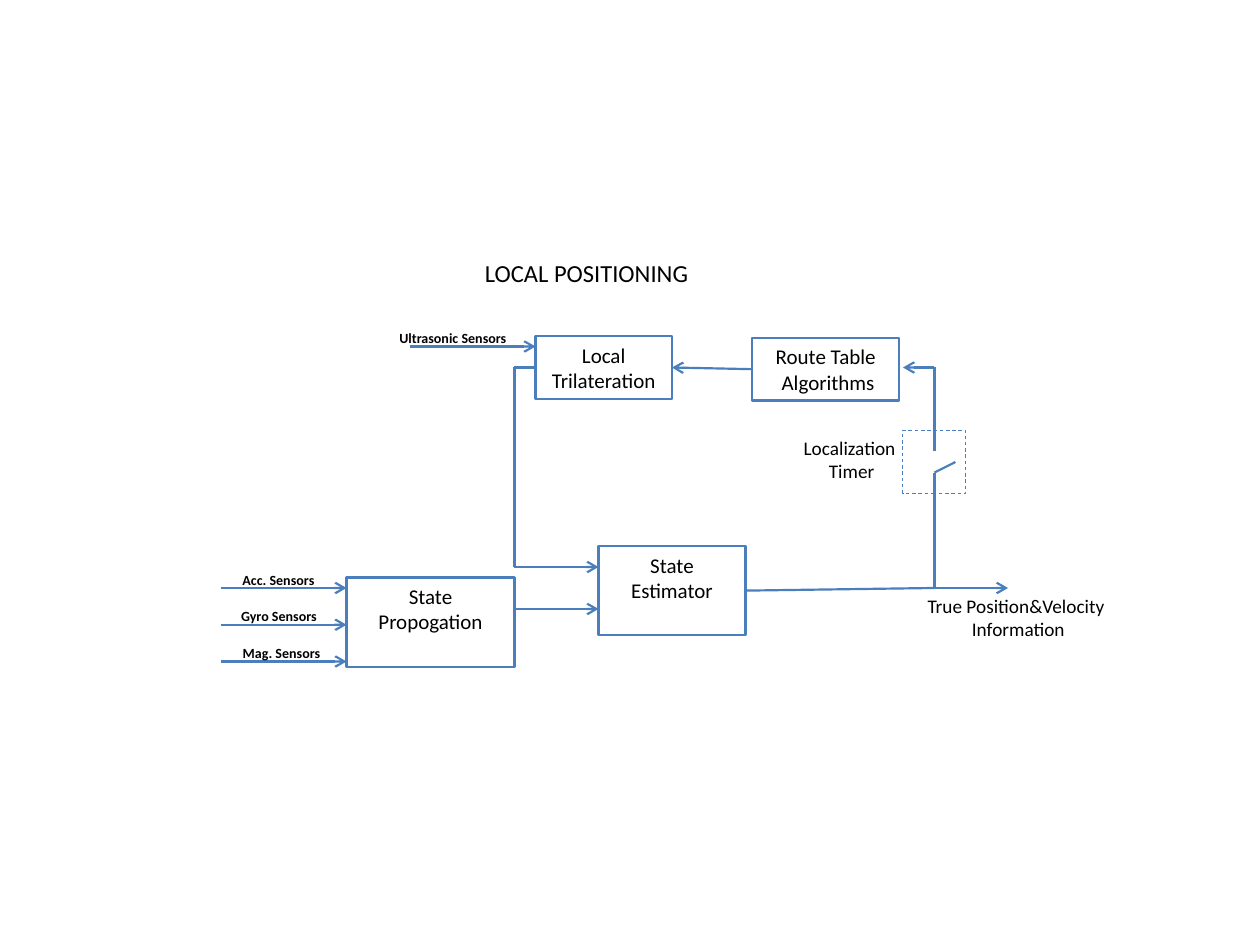
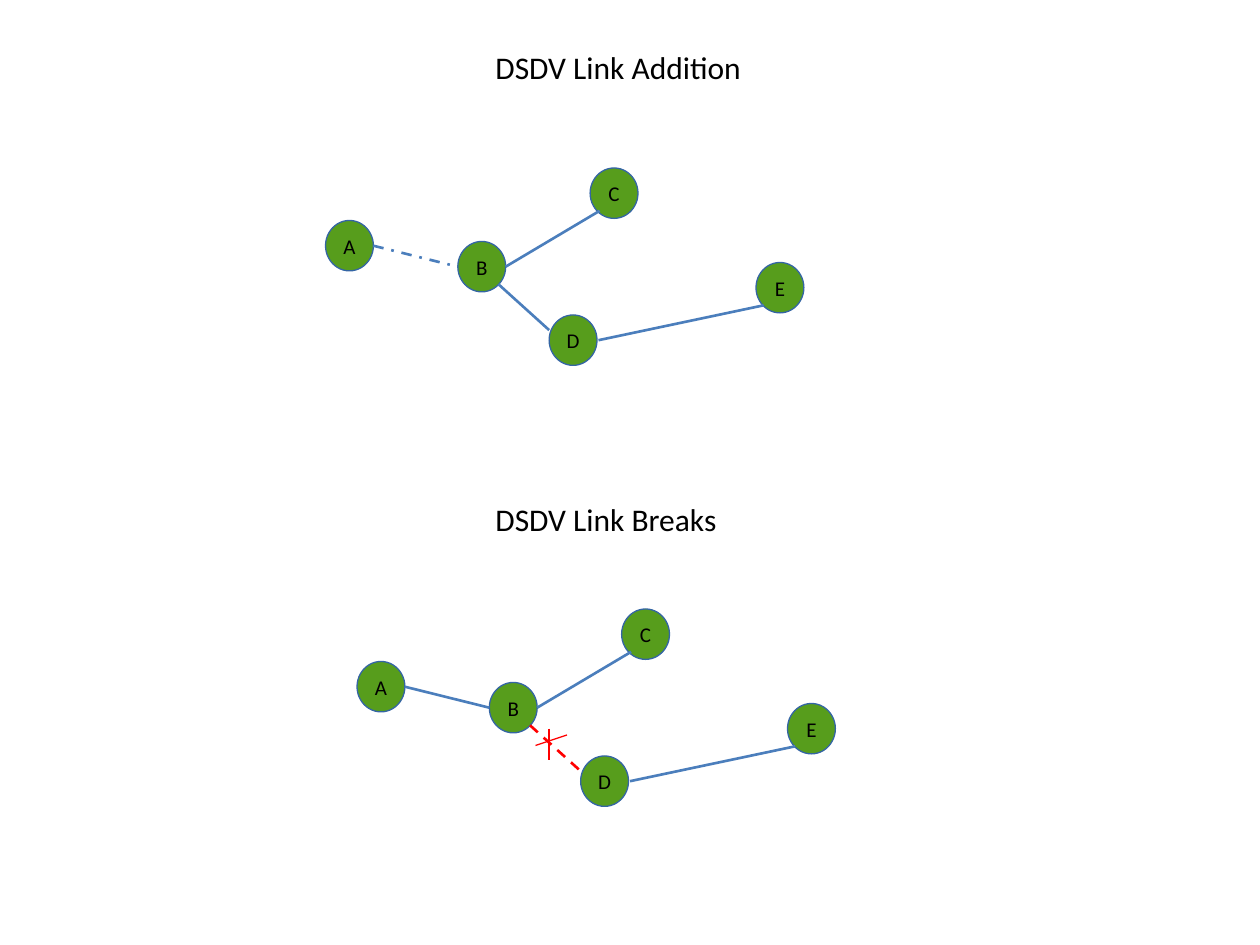
from dataclasses import dataclass
from itertools import pairwise
from typing import NamedTuple, Optional

from lxml import etree
from pptx import Presentation, util as u
from pptx.dml.color import RGBColor
from pptx.enum import dml, shapes, text
from pptx.oxml import ns

COLORS = {
    "wire": "4B7EBC",
    "node": "579D1C",
    "node_edge": "3465A4",
    "broken": "FF0000",
    "ink": "000000",
}
FONT = "Calibri"
WIDTH, HEIGHT = u.Inches(10), u.Inches(7.5)
COLUMNS, ROWS = 120, 90
LEFT, RIGHT = 1, 3  # connection sites of a rectangle
DASH = dml.MSO_LINE.DASH
DASH_DOT = dml.MSO_LINE.DASH_DOT


class Point(NamedTuple):
    col: float
    row: float


class Area(NamedTuple):
    col: float
    row: float
    cols: float
    rows: float


@dataclass(frozen=True)
class Stroke:
    color: str = "wire"
    width: float = 1.25
    dash: Optional[dml.MSO_LINE] = None


@dataclass(frozen=True)
class Label:
    words: str
    area: Area
    size: float
    bold: bool = False
    centred: bool = True
    wrap: bool = False


@dataclass(frozen=True)
class Block:
    words: str
    area: Area


@dataclass(frozen=True)
class Wire:
    """A path of straight pieces; start and finish name a block and its side."""
    points: tuple
    arrow: bool = False
    start: Optional[tuple] = None
    finish: Optional[tuple] = None


@dataclass(frozen=True)
class Link:
    """Joins two nodes at points given as shares of each node's size."""
    source: str
    source_share: tuple
    target: str
    target_share: tuple


def x(cols: float) -> int:
    return round(WIDTH * cols / COLUMNS)


def y(rows: float) -> int:
    return round(HEIGHT * rows / ROWS)


def place(area: Area) -> tuple:
    return x(area.col), y(area.row), x(area.cols), y(area.rows)


def rgb(name: str) -> RGBColor:
    return RGBColor.from_string(COLORS[name])


def write(frame, words: str, size: float, bold: bool = False, centred: bool = True) -> None:
    for index, line in enumerate(words.split("\n")):
        paragraph = frame.paragraphs[0] if index == 0 else frame.add_paragraph()
        paragraph.alignment = text.PP_ALIGN.CENTER if centred else text.PP_ALIGN.LEFT
        run = paragraph.add_run()
        run.text = line
        run.font.name = FONT
        run.font.size = u.Pt(size)
        run.font.bold = bold
        run.font.color.rgb = rgb("ink")


def apply_stroke(line, stroke: Stroke) -> None:
    line.color.rgb = rgb(stroke.color)
    line.width = u.Pt(stroke.width)
    if stroke.dash is not None:
        line.dash_style = stroke.dash


def add_label(slide, label: Label) -> None:
    frame = slide.shapes.add_textbox(*place(label.area)).text_frame
    frame.word_wrap = label.wrap
    write(frame, label.words, label.size, label.bold, label.centred)


def add_outline(slide, kind, area: Area, stroke: Stroke, fill: Optional[str] = None):
    outline = slide.shapes.add_shape(kind, *place(area))
    outline.shadow.inherit = False
    if fill:
        outline.fill.solid()
        outline.fill.fore_color.rgb = rgb(fill)
    else:
        outline.fill.background()
    apply_stroke(outline.line, stroke)
    return outline


def add_block(slide, block: Block):
    outline = add_outline(slide, shapes.MSO_SHAPE.RECTANGLE, block.area, Stroke())
    frame = outline.text_frame
    frame.word_wrap = True
    frame.vertical_anchor = text.MSO_ANCHOR.TOP
    write(frame, block.words, 12)
    return outline


def add_segment(slide, begin: Point, end: Point, stroke: Stroke, arrow: bool = False):
    segment = slide.shapes.add_connector(
        shapes.MSO_CONNECTOR.STRAIGHT, x(begin.col), y(begin.row), x(end.col), y(end.row))
    apply_stroke(segment.line, stroke)
    properties = segment.line._get_or_add_ln()
    if arrow:
        etree.SubElement(properties, ns.qn("a:tailEnd"), type="arrow")
    etree.SubElement(properties.getparent(), ns.qn("a:effectLst"))
    return segment


def add_wire(slide, wire: Wire, blocks: dict) -> None:
    pieces = list(pairwise(wire.points))
    segments = [
        add_segment(slide, begin, end, Stroke(), wire.arrow and index == len(pieces))
        for index, (begin, end) in enumerate(pieces, 1)
    ]
    if wire.start:
        name, side = wire.start
        segments[0].begin_connect(blocks[name], side)
    if wire.finish:
        name, side = wire.finish
        segments[-1].end_connect(blocks[name], side)


# Local positioning
BLOCKS = {
    "trilateration": Block("Local Trilateration", Area(51, 32, 13, 6)),
    "routes": Block("Route Table\n Algorithms", Area(71.64, 32.16, 14, 6)),
    "propagation": Block("State Propogation", Area(33, 55, 16, 8.5)),
    "estimator": Block("State Estimator", Area(57, 52, 14, 8.5)),
}
TIMER = Area(86, 41, 6, 6)
FEEDBACK = Point(89, 56)
SWITCH = Point(89, 45)
WIRES = [
    Wire((Point(89, 43), Point(89, 35), Point(86, 35)), arrow=True),
    Wire((Point(71.64, 35.16), Point(64, 35)), True,
         ("routes", LEFT), ("trilateration", RIGHT)),
    Wire((Point(51, 35), Point(49, 35), Point(49, 54), Point(57, 54)), True,
         ("trilateration", LEFT)),
    Wire((Point(91, 44), SWITCH, FEEDBACK)),
    Wire((Point(71, 56.25), FEEDBACK), start=("estimator", RIGHT)),
    Wire((FEEDBACK, Point(96, 56)), arrow=True),
    Wire((Point(49, 58), Point(57, 58)), arrow=True),
]


class Sensor(NamedTuple):
    words: str
    tip: Point
    label_col: float
    label_cols: float


SENSORS = [
    Sensor("Ultrasonic Sensors", Point(51, 33), 35.76, 14.76),
    *(Sensor(words, Point(33, 56 + 3.5 * order), col, cols)
      for order, (words, col, cols) in enumerate([
          ("Acc. Sensors", 21, 11.04),
          ("Gyro Sensors", 20.76, 11.64),
          ("Mag. Sensors", 21.24, 11.16),
      ])),
]
POSITIONING_LABELS = [
    Label("LOCAL POSITIONING", Area(45, 24, 30, 4), 14, centred=False, wrap=True),
    Label("Localization \nTimer", Area(74.76, 41, 12.72, 5.64), 11),
    Label("True Position&Velocity\n Information", Area(87, 56, 19.56, 5.64), 11),
]


def draw_positioning(slide) -> None:
    blocks = {name: add_block(slide, block) for name, block in BLOCKS.items()}
    add_outline(slide, shapes.MSO_SHAPE.RECTANGLE, TIMER, Stroke(width=0.5, dash=DASH))
    for wire in WIRES:
        add_wire(slide, wire, blocks)
    for sensor in SENSORS:
        col, row = sensor.tip
        add_segment(slide, Point(col - 12, row), sensor.tip, Stroke(), arrow=True)
        area = Area(sensor.label_col, row - 2.2, sensor.label_cols, 2.88)
        add_label(slide, Label(sensor.words, area, 8, bold=True))
    for label in POSITIONING_LABELS:
        add_label(slide, label)


# DSDV links
NODE_COLS, NODE_ROWS = 4.56, 4.8
NODES = {
    "A": Point(31, 21),
    "B": Point(43.6, 23),
    "C": Point(56.2, 16),
    "D": Point(52.3, 30),
    "E": Point(72, 25),
}
LINKS = [
    Link("A", (1, 0.5), "B", (0, 0.5)),
    Link("B", (1, 0.5), "C", (0.2, 0.85)),
    Link("B", (0.85, 0.85), "D", (0, 0.3)),
    Link("D", (1.03, 0.5), "E", (0.16, 0.85)),
]
BREAK_MARK = [
    (Point(54, 70), Point(51, 71)),
    (Point(52.3, 69.4), Point(52.3, 72.4)),
]


@dataclass(frozen=True)
class Network:
    title: Label
    shift: Point
    special: tuple
    special_stroke: Stroke


NETWORKS = [
    Network(Label("DSDV Link Addition", Area(46, 4, 26.16, 4.8), 18, centred=False),
            Point(0, 0), ("A", "B"), Stroke(width=1.5, dash=DASH_DOT)),
    Network(Label("DSDV Link Breaks", Area(46, 47, 23.76, 4.8), 18, centred=False),
            Point(3, 42), ("B", "D"), Stroke("broken", 1.5, DASH)),
]


def node_point(name: str, share: tuple, shift: Point) -> Point:
    node = NODES[name]
    return Point(node.col + shift.col + share[0] * NODE_COLS,
                 node.row + shift.row + share[1] * NODE_ROWS)


def draw_network(slide, network: Network) -> None:
    add_label(slide, network.title)
    for name in NODES:
        corner = node_point(name, (0, 0), network.shift)
        circle = add_outline(slide, shapes.MSO_SHAPE.OVAL,
                             Area(*corner, NODE_COLS, NODE_ROWS),
                             Stroke("node_edge", 0.75), "node")
        frame = circle.text_frame
        frame.margin_left = frame.margin_right = frame.margin_top = frame.margin_bottom = 0
        frame.word_wrap = False
        frame.vertical_anchor = text.MSO_ANCHOR.MIDDLE
        write(frame, name, 12)
    for link in LINKS:
        special = (link.source, link.target) == network.special
        add_segment(slide,
                    node_point(link.source, link.source_share, network.shift),
                    node_point(link.target, link.target_share, network.shift),
                    network.special_stroke if special else Stroke(width=1.5))


def draw_links(slide) -> None:
    for network in NETWORKS:
        draw_network(slide, network)
    for begin, end in BREAK_MARK:
        add_segment(slide, begin, end, Stroke("broken", 0.75))


def main() -> None:
    deck = Presentation()
    deck.slide_width, deck.slide_height = WIDTH, HEIGHT
    for draw in (draw_positioning, draw_links):
        draw(deck.slides.add_slide(deck.slide_layouts[6]))
    deck.save("out.pptx")


if __name__ == "__main__":
    main()
